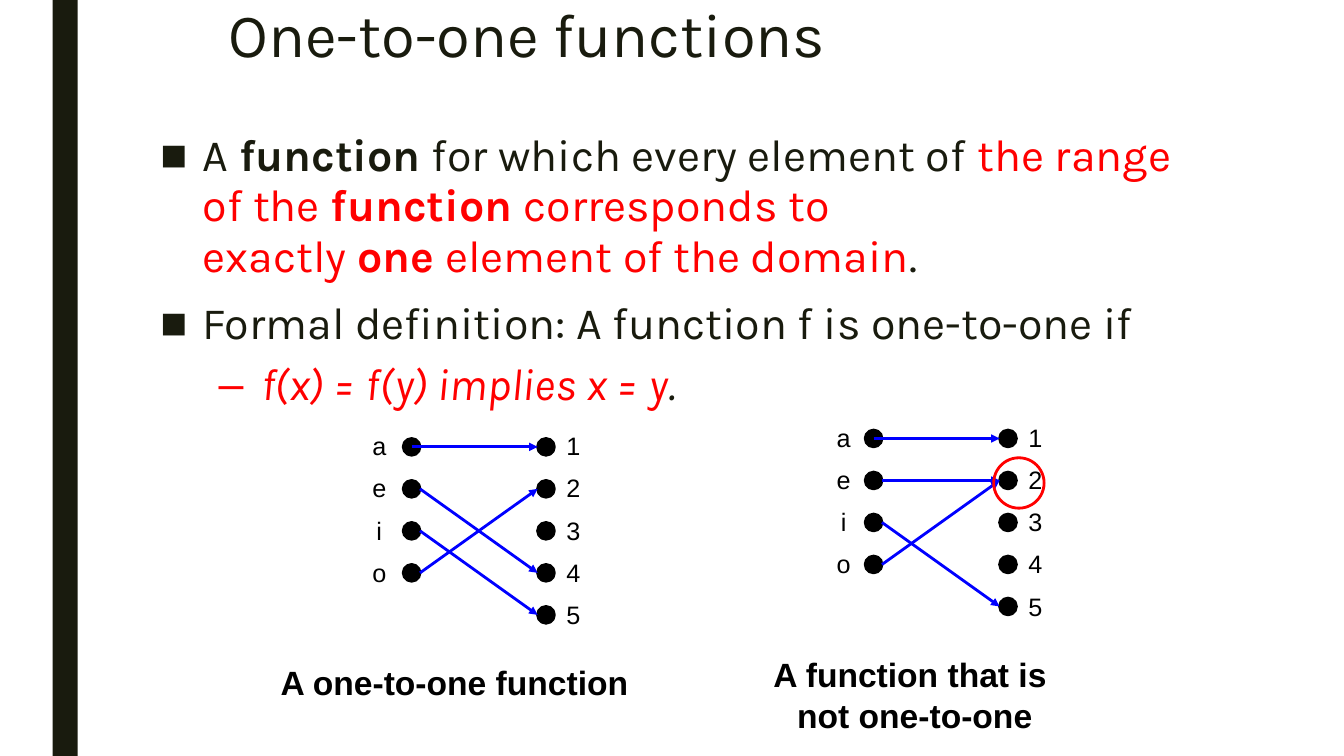
import pptx
import pptx.util
import pptx.dml.color
import pptx.enum.shapes
import pptx.enum.text
import pptx.oxml
import pptx.oxml.ns

RGBColor = pptx.dml.color.RGBColor
INK = RGBColor(0x19, 0x1B, 0x0E)
RED = RGBColor(0xFF, 0x00, 0x00)
BLUE = RGBColor(0x00, 0x00, 0xFF)
BLACK = RGBColor(0x00, 0x00, 0x00)

COLUMNS, ROWS = 160, 90
NBSP = chr(160)
Pt = pptx.util.Pt
Inches = pptx.util.Inches
CENTER = pptx.enum.text.PP_ALIGN.CENTER
RECTANGLE = pptx.enum.shapes.MSO_SHAPE.RECTANGLE
OVAL = pptx.enum.shapes.MSO_SHAPE.OVAL


def append_xml(parent, tag, **attributes):
    child = pptx.oxml.parse_xml(f"<a:{tag} {pptx.oxml.ns.nsdecls('a')}/>")
    for key, value in attributes.items():
        child.set(key, value)
    parent.append(child)


class SlideBuilder:
    """Draws on one slide; lengths are columns and rows of a 160 x 90 grid."""
    heading_font, diagram_font = "Karla", "Arial"
    line_width = Pt(2)
    dot, pitch, gap = 2, 5, 16  # dot size, row distance, domain to range

    def __init__(self, deck):
        self.column = deck.slide_width / COLUMNS
        self.row = deck.slide_height / ROWS
        self.slide = deck.slides.add_slide(deck.slide_layouts[6])
        self.canvas = self.slide.shapes

    def box(self, left, top, width, height):
        return (round(left * self.column), round(top * self.row),
                round(width * self.column), round(height * self.row))

    def shape(self, kind, area, fill=None, line=None):
        shape = self.canvas.add_shape(kind, *self.box(*area))
        shape.shadow.inherit = False
        if fill is None:
            shape.fill.background()
        else:
            shape.fill.solid()
            shape.fill.fore_color.rgb = fill
        if line is None:
            shape.line.fill.background()
        else:
            shape.line.color.rgb = line
            shape.line.width = self.line_width

    def arrow(self, x1, y1, x2, y2):
        start, end = self.box(x1, y1, 0, 0), self.box(x2, y2, 0, 0)
        arrow = self.canvas.add_connector(
            pptx.enum.shapes.MSO_CONNECTOR.STRAIGHT, *start[:2], *end[:2])
        arrow.line.color.rgb = BLUE
        arrow.line.width = self.line_width
        append_xml(arrow.line._get_or_add_ln(), "tailEnd", type="triangle")
        append_xml(arrow._element.spPr, "effectLst")

    def frame(self, area, wrap=True):
        frame = self.canvas.add_textbox(*self.box(*area)).text_frame
        frame.word_wrap = wrap
        if not wrap:
            frame.auto_size = pptx.enum.text.MSO_AUTO_SIZE.SHAPE_TO_FIT_TEXT
        return frame

    def title(self, area, text):
        heading = self.frame(area).paragraphs[0]
        heading.text = text
        heading.line_spacing = 0.89
        self.style(heading.runs[0].font, self.heading_font, 44, INK)

    def style(self, font, name, size, color, bold=False, italic=False):
        font.name, font.size = name, Pt(size)
        font.color.rgb = color
        font.bold, font.italic = bold, italic

    def bullets(self, area, items):
        """Each item is (bullet sign, left indent, space before, runs)."""
        frame = self.frame(area)
        for index, (sign, indent, before, runs) in enumerate(items):
            item = frame.add_paragraph() if index else frame.paragraphs[0]
            item.line_spacing = 0.94
            item.space_before, item.space_after = Pt(before), Pt(2)
            properties = item._p.get_or_add_pPr()
            properties.set("marL", str(Inches(indent)))
            properties.set("indent", str(Inches(-0.42)))
            append_xml(properties, "buFont", typeface="Arial")
            append_xml(properties, "buChar", char=sign)
            for text, color, bold, italic in runs:
                run = item.add_run()
                run.text = text
                self.style(run.font, self.heading_font, 32, color, bold, italic)

    def lines(self, area, texts, size, spacing=None, bold=False):
        """Centred, unwrapped text with one paragraph for each entry."""
        frame = self.frame(area, wrap=False)
        frame.text = "\n".join(texts)
        for line in frame.paragraphs:
            line.alignment = CENTER
            line.line_spacing = spacing
            self.style(line.runs[0].font, self.diagram_font, size, BLACK, bold)

    def mapping(self, left, top, links, domain_offset, caption, caption_area):
        """Dots for domain and range, an arrow for each (domain, range) link."""
        self.canvas = self.slide.shapes.add_group_shape().shapes
        for x, labels, offset in ((left, "aeio", domain_offset),
                                  (left + self.gap, "12345", 2.2)):
            for index in range(len(labels)):
                self.shape(OVAL, (x, top + index * self.pitch, self.dot, self.dot),
                           BLACK, BLACK)
            self.lines((x + offset, top - 3, 4.1, 26.4), labels, 18, 1.4)
        for source, target in links:
            start = left + (self.dot if source else self.dot / 2)
            self.arrow(start, top + 1 + source * self.pitch,
                       left + self.gap, top + 1 + target * self.pitch)
        self.lines(caption_area, caption, 24, bold=True)
        self.canvas = self.slide.shapes


def main():
    deck = pptx.Presentation()
    deck.slide_width, deck.slide_height = Inches(13.333), Inches(7.5)
    page = SlideBuilder(deck)
    page.shape(RECTANGLE, (6.25, 0, 3, ROWS), INK)
    page.title((26, 0, 108, 15), "One-to-one functions")
    page.bullets((17.9, 15, 126, 47), [
        ("■", 0.42, 0, [
            (f"A{NBSP}", INK, False, False),
            ("function", INK, True, False),
            (f"{NBSP}for which every element of ", INK, False, False),
            ("the range of the ", RED, False, False),
            ("function", RED, True, False),
            (f"{NBSP}corresponds to exactly{NBSP}", RED, False, False),
            ("one", RED, True, False),
            (f"{NBSP}element of the domain", RED, False, False),
            (".", INK, False, False)]),
        ("■", 0.42, 10, [
            ("Formal definition: A function f is one-to-one if",
             INK, False, False)]),
        ("–", 1, 5, [
            ("f(x) = f(y) implies x = y", RED, False, True),
            (".", INK, False, True)]),
    ])
    page.mapping(48, 52.2, [(0, 0), (1, 3), (3, 1), (2, 4)], -4.9,
                 ["A one-to-one function"], (32, 78.2, 44.2, 6.1))
    page.mapping(103, 51.2, [(0, 0), (1, 1), (3, 1), (2, 4)], -4.6,
                 ["A function that is ", "not one-to-one"],
                 (90.7, 77.3, 36.4, 10.9))
    page.shape(OVAL, (118.3, 54.5, 6, 6), line=RED)
    deck.save("out.pptx")


if __name__ == "__main__":
    main()
